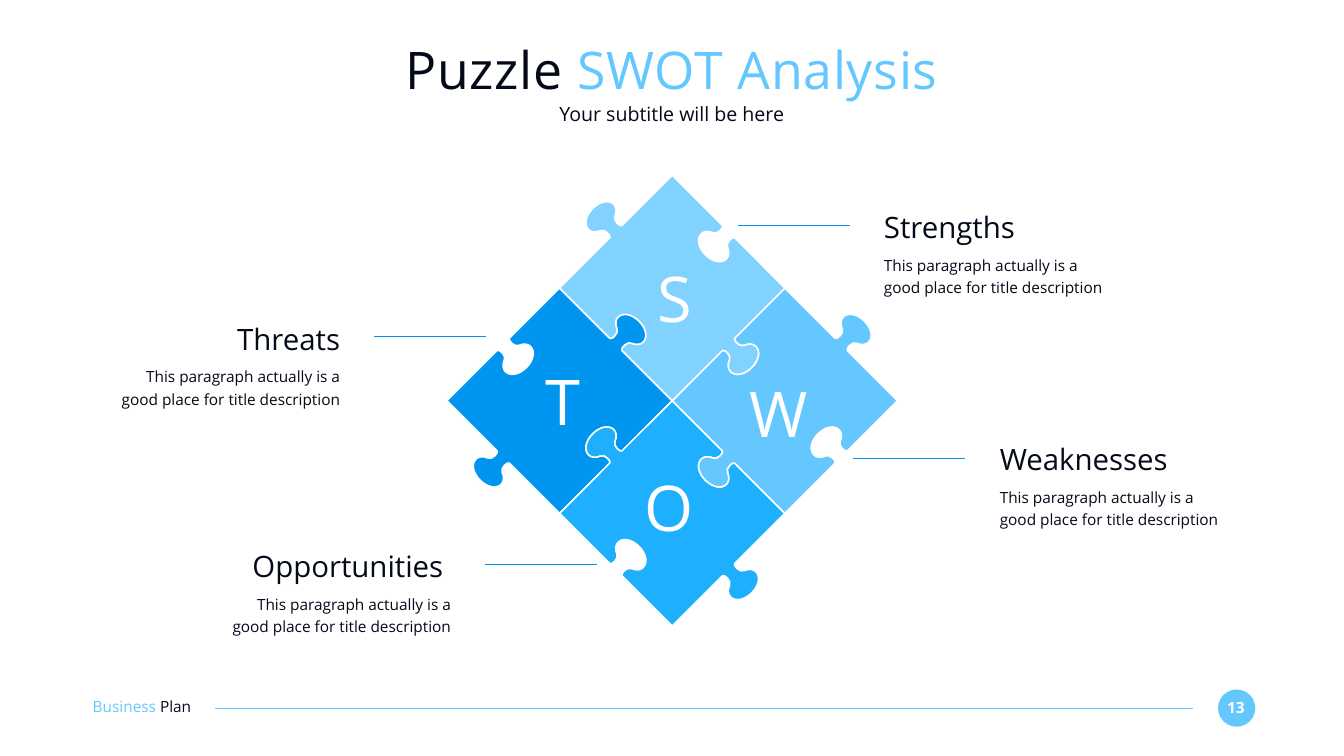
"""Build a SWOT analysis slide around four interlocking puzzle pieces."""
from dataclasses import dataclass

from lxml.etree import SubElement
from pptx import Presentation
from pptx.dml.color import RGBColor
from pptx.enum.shapes import MSO_CONNECTOR, MSO_SHAPE
from pptx.enum.text import MSO_ANCHOR, MSO_AUTO_SIZE, PP_ALIGN
from pptx.oxml.ns import qn
from pptx.shapes.autoshape import Shape
from pptx.slide import Slide
from pptx.text.text import TextFrame
from pptx.util import Inches, Pt

FONT = "Open Sans"
COLORS = {
    "ink": "050A19",
    "white": "FFFFFF",
    "accent": "64C8FF",
    "strengths": "81D2FF",
    "weaknesses": "64C8FF",
    "opportunities": "1EAFFF",
    "threats": "0096F0",
    "leader": "0096F0",
}
DESCRIPTION = "This paragraph actually is a good place for title description"
CENTER_X, CENTER_Y = 13.34, 7.95
HALF = 2.235

HALF_KNOB = [
    (-0.12, 0.12), (-0.11, 0.10), (-0.13, 0.05), (-0.17, 0.02),
    (-0.21, -0.02), (-0.27, -0.04), (-0.31, -0.02),
    (-0.40, 0.02), (-0.49, 0.01), (-0.54, -0.04),
    (-0.64, -0.14), (-0.60, -0.32), (-0.46, -0.46),
]
KNOB = HALF_KNOB + [(y, x) for x, y in reversed(HALF_KNOB[:-1])]
CORNERS = [(-1, 0), (0, -1), (1, 0), (0, 1)]

Point = tuple[float, float]


@dataclass(frozen=True)
class Piece:
    """A puzzle piece, its grid place, letter position and knob orientation."""
    color: str
    letter: str
    column: int
    row: int
    letter_left: float
    letter_top: float
    knobs_on_northwest: bool


@dataclass(frozen=True)
class Callout:
    """A heading with description and the left end of its leader line."""
    heading: str
    left: float
    top: float
    line_left: float
    line_top: float
    align: PP_ALIGN


PIECES = [
    Piece("threats", "T", -1, 0, 10.12, 7.19, False),
    Piece("opportunities", "O", 0, 1, 12.22, 9.3, True),
    Piece("weaknesses", "W", 1, 0, 14.4, 7.44, False),
    Piece("strengths", "S", 0, -1, 12.35, 5.14, True),
]
CALLOUTS = [
    Callout("Threats", 2.21, 6.37, 7.42, 6.68, PP_ALIGN.RIGHT),
    Callout("Opportunities ", 4.41, 10.88, 9.62, 11.2, PP_ALIGN.RIGHT),
    Callout("Strengths", 17.54, 4.15, 14.64, 4.48, PP_ALIGN.LEFT),
    Callout("Weaknesses", 19.84, 8.76, 16.93, 9.1, PP_ALIGN.LEFT),
]


def rgb(name: str) -> RGBColor:
    """Look up a named colour."""
    return RGBColor.from_string(COLORS[name])


def fill_text(frame: TextFrame, parts: list[tuple[str, str]], size: float,
              align: PP_ALIGN, bold: bool = False, spacing: float = 1.0) -> None:
    """Write coloured runs into one paragraph of a frame without insets."""
    frame.margin_left = frame.margin_right = frame.margin_top = frame.margin_bottom = 0
    frame.word_wrap = True
    frame.auto_size = MSO_AUTO_SIZE.NONE
    paragraph = frame.paragraphs[0]
    paragraph.alignment = align
    paragraph.line_spacing = spacing
    for text, color in parts:
        run = paragraph.add_run()
        run.text = text
        run.font.name = FONT
        run.font.size = Pt(size)
        run.font.bold = bold
        run.font.color.rgb = rgb(color)


def add_text(slide: Slide, box: tuple[float, float, float, float],
             parts: list[tuple[str, str]], size: float, align: PP_ALIGN = PP_ALIGN.LEFT,
             bold: bool = False, spacing: float = 1.0) -> None:
    """Add a text box."""
    shape = slide.shapes.add_textbox(*map(Inches, box))
    fill_text(shape.text_frame, parts, size, align, bold, spacing)


def add_line(slide: Slide, left: float, right: float, top: float, color: str) -> None:
    """Add a horizontal line without shadow."""
    line = slide.shapes.add_connector(
        MSO_CONNECTOR.STRAIGHT, Inches(right), Inches(top), Inches(left), Inches(top))
    line.line.color.rgb = rgb(color)
    line.line.width = Pt(1.5)
    SubElement(line._element.spPr, qn("a:effectLst"))


def piece_outline(piece: Piece) -> list[Point]:
    """List corners and knob control points clockwise around a diamond."""
    center_x = CENTER_X + piece.column * HALF
    center_y = CENTER_Y + piece.row * HALF
    points = []
    for side, (start_x, start_y) in enumerate(CORNERS):
        end_x, end_y = CORNERS[(side + 1) % 4]
        middle_x, middle_y = (start_x + end_x) / 2, (start_y + end_y) / 2
        outward = (side % 2 == 0) == piece.knobs_on_northwest
        direction = -2 if outward else 2
        flip_x, flip_y = direction * middle_x, direction * middle_y
        knob = [(x * flip_x, y * flip_y) for x, y in KNOB]
        if flip_x != end_x - start_x:
            knob.reverse()
        points.append((center_x + start_x * HALF, center_y + start_y * HALF))
        points += [(center_x + middle_x * HALF + x, center_y + middle_y * HALF + y)
                   for x, y in knob]
    return points


def round_knobs(shape: Shape) -> None:
    """Join each three control points of the knobs into one cubic curve."""
    side_length = len(KNOB) + 1
    segments = list(shape._element.iter(qn("a:lnTo")))
    for side_start in range(0, len(segments), side_length):
        for index in range(side_start + 1, side_start + len(KNOB), 3):
            controls = segments[index:index + 3]
            curve = controls[0].makeelement(qn("a:cubicBezTo"))
            controls[0].addprevious(curve)
            for control in controls:
                curve.append(control[0])
                control.getparent().remove(control)


def add_piece(slide: Slide, piece: Piece) -> None:
    """Draw a puzzle piece."""
    start, *rest = [(Inches(x), Inches(y)) for x, y in piece_outline(piece)]
    builder = slide.shapes.build_freeform(*start)
    builder.add_line_segments(rest, close=True)
    shape = builder.convert_to_shape()
    round_knobs(shape)
    shape.shadow.inherit = False
    shape.fill.solid()
    shape.fill.fore_color.rgb = rgb(piece.color)
    shape.line.color.rgb = rgb("white")
    shape.line.width = Pt(2.25)


def add_callout(slide: Slide, callout: Callout) -> None:
    """Draw a heading, its description and its leader line."""
    add_text(slide, (callout.left, callout.top, 4.54, 0.71),
             [(callout.heading, "ink")], 42, callout.align)
    add_text(slide, (callout.left, callout.top + 0.85, 4.54, 0.89),
             [(DESCRIPTION, "ink")], 22, callout.align, spacing=1.2)
    add_line(slide, callout.line_left, callout.line_left + 2.22, callout.line_top, "leader")


def add_footer(slide: Slide) -> None:
    """Draw the footer label, rule and page number."""
    badge = slide.shapes.add_shape(
        MSO_SHAPE.OVAL, Inches(24.17), Inches(13.68), Inches(0.74), Inches(0.74))
    badge.shadow.inherit = False
    badge.fill.solid()
    badge.fill.fore_color.rgb = rgb("accent")
    badge.line.fill.background()
    add_text(slide, (24.23, 13.85, 0.59, 0.37), [("13", "white")], 22,
             PP_ALIGN.CENTER, bold=True)
    add_line(slide, 4.27, 23.67, 14.05, "accent")
    add_text(slide, (1.84, 13.84, 2.59, 0.37), [("Business ", "accent"), ("Plan", "ink")], 22)


def add_title(slide: Slide) -> None:
    """Place the title and subtitle."""
    title = slide.shapes.title
    title.left, title.top, title.width, title.height = map(Inches, (1.83, 0.72, 23, 1.27))
    fill_text(title.text_frame, [("Puzzle ", "ink"), ("SWOT Analysis", "accent")],
              74, PP_ALIGN.CENTER)
    title.text_frame.vertical_anchor = MSO_ANCHOR.MIDDLE
    for run in title.text_frame.paragraphs[0].runs:
        run.font._element.set("spc", "100")
    add_text(slide, (1.83, 2.03, 23, 0.49), [("Your subtitle will be here", "ink")],
             28, PP_ALIGN.CENTER)


def main() -> None:
    """Build and save the presentation."""
    presentation = Presentation()
    presentation.slide_width, presentation.slide_height = Inches(26.67), Inches(15)
    slide = presentation.slides.add_slide(presentation.slide_layouts[5])
    add_footer(slide)
    add_title(slide)
    for piece in PIECES:
        add_piece(slide, piece)
    for callout in CALLOUTS:
        add_callout(slide, callout)
    for piece in PIECES:
        add_text(slide, (piece.letter_left, piece.letter_top, 2.1, 1.51),
                 [(piece.letter, "white")], 90, PP_ALIGN.CENTER)
    presentation.save("out.pptx")


if __name__ == "__main__":
    main()
